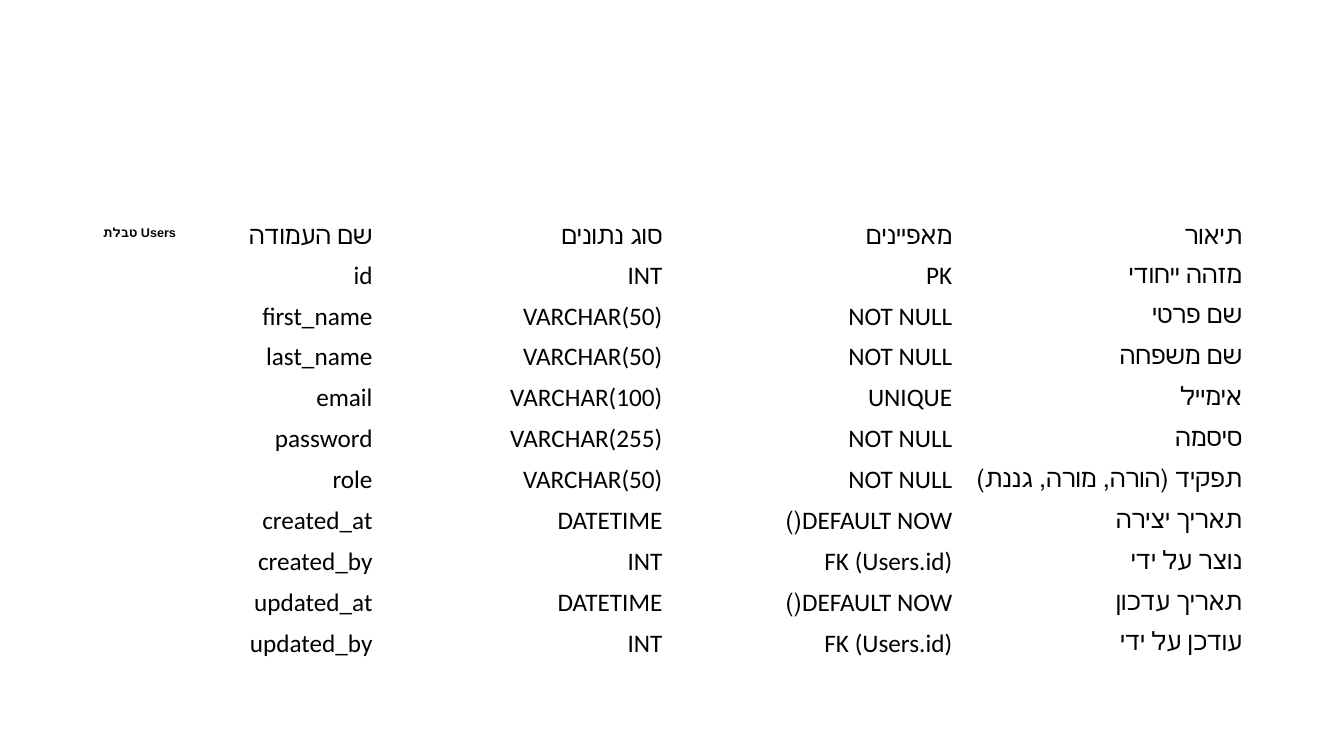
from pptx import Presentation
from pptx.dml.color import RGBColor as Rgb
from pptx.enum.text import MSO_ANCHOR as Anchor, PP_ALIGN as Align
from pptx.util import Inches, Pt

HUES = {"ink": "000000"}
HEAD = {"name": "Arial", "size": Pt(9), "bold": True}
BODY = {"name": "Calibri", "size": Pt(18), "bold": False}
ROWS = [
    ("שם העמודה", "סוג נתונים", "מאפיינים", "תיאור"),
    ("id", "INT", "PK", "מזהה ייחודי"),
    ("first_name", "VARCHAR(50)", "NOT NULL", "שם פרטי"),
    ("last_name", "VARCHAR(50)", "NOT NULL", "שם משפחה"),
    ("email", "VARCHAR(100)", "UNIQUE", "אימייל"),
    ("password", "VARCHAR(255)", "NOT NULL", "סיסמה"),
    ("role", "VARCHAR(50)", "NOT NULL", "תפקיד (הורה, מורה, גננת)"),
    ("created_at", "DATETIME", "DEFAULT NOW()", "תאריך יצירה"),
    ("created_by", "INT", "FK (Users.id)", "נוצר על ידי"),
    ("updated_at", "DATETIME", "DEFAULT NOW()", "תאריך עדכון"),
    ("updated_by", "INT", "FK (Users.id)", "עודכן על ידי"),
]


def style(para, look):
    for key, value in look.items():
        setattr(para.font, key, value)
    para.font.color.rgb = Rgb.from_string(HUES["ink"])


def title(slide, box):
    left, top, width, height = box
    shape = slide.shapes.title
    place = {"left": left, "top": top, "width": width // 4, "height": height // 18}
    for key, value in place.items():
        setattr(shape, key, value)
    frame = shape.text_frame
    frame.text = "טבלת Users"
    frame.word_wrap = False
    frame.vertical_anchor = Anchor.TOP
    para = frame.paragraphs[0]
    para.alignment = Align.LEFT
    style(para, HEAD)


def grid(slide, box):
    table = slide.shapes.add_table(len(ROWS), len(ROWS[0]), *box).table
    for flag in ("first_row", "horz_banding"):
        setattr(table, flag, False)
    table.rows[0].height = Inches(0.3)
    for row, words in zip(table.rows, ROWS):
        for cell, word in zip(row.cells, words):
            cell.fill.background()
            cell.vertical_anchor = Anchor.MIDDLE
            cell.text = word
            para = cell.text_frame.paragraphs[0]
            para.alignment = Align.RIGHT
            para._p.get_or_add_pPr().set("rtl", "1")
            style(para, BODY)


def main():
    deck = Presentation()
    deck.slide_width, deck.slide_height = Inches(13.33), Inches(7.5)
    slide = deck.slides.add_slide(deck.slide_layouts[5])
    box = Inches(0.92), Inches(2.18), Inches(11.5), Inches(4.4)
    grid(slide, box)
    title(slide, box)
    deck.save("out.pptx")


if __name__ == "__main__":
    main()
